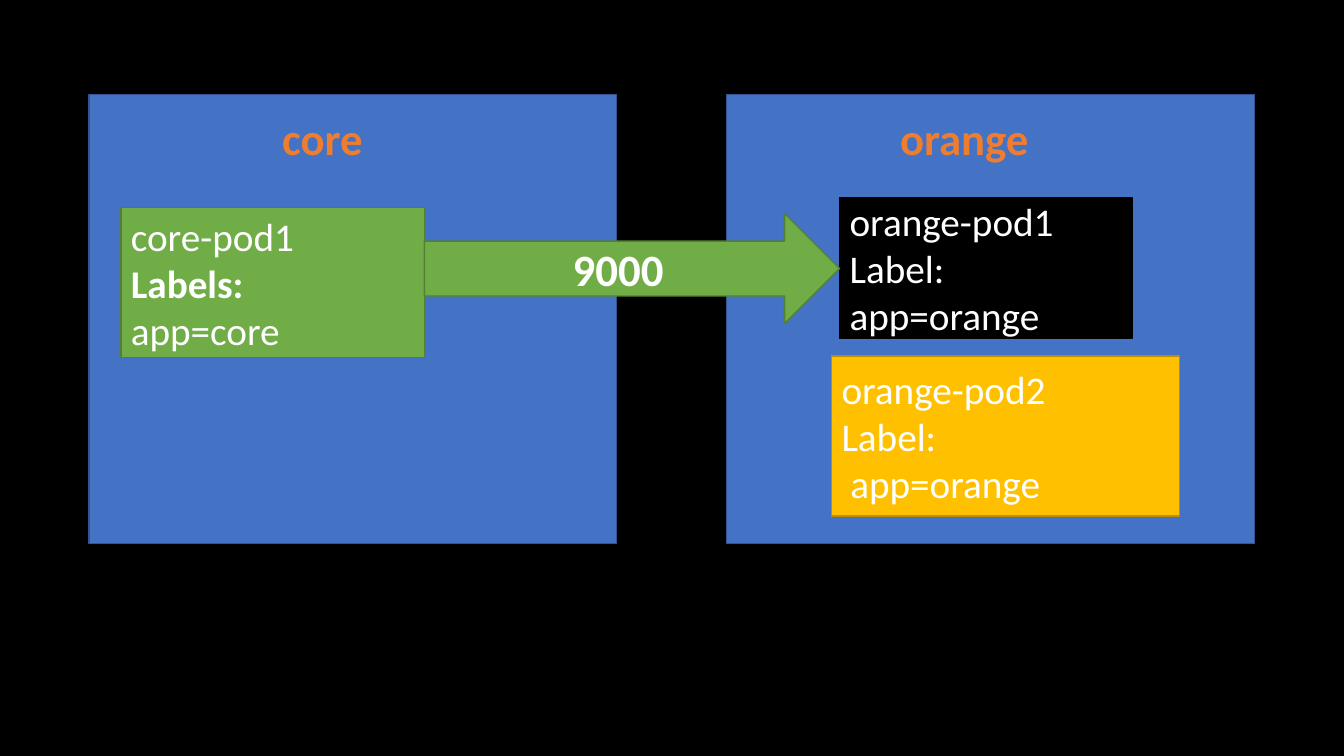
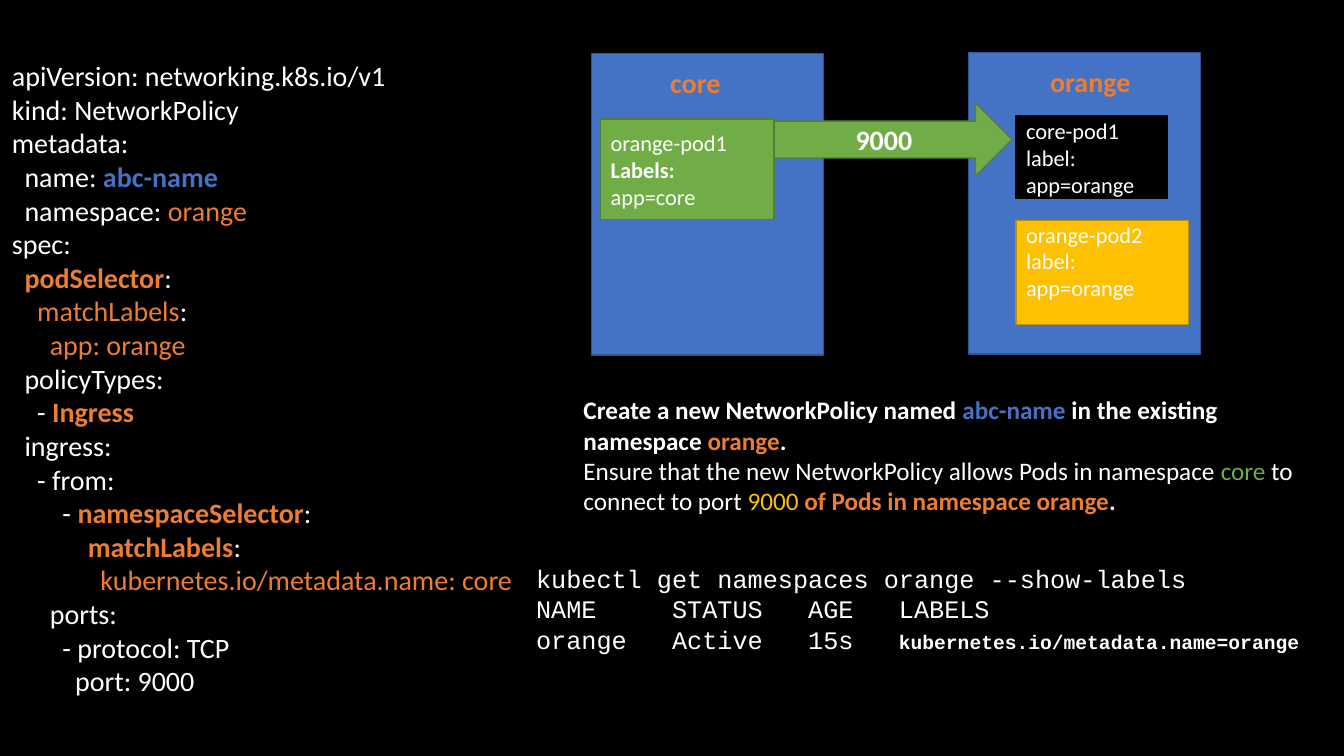
from pptx import Presentation
from pptx import util as u
from pptx.dml.color import RGBColor
from pptx.enum import shapes, text
from pptx.oxml.ns import qn
from lxml import etree

WHITE, BLACK = "FFFFFF", "000000"
BLUE, ORANGE, GREEN, GOLD = "4472C4", "ED7D31", "70AD47", "FFC000"
BORDERS = {BLUE: "325491", GREEN: "538035", GOLD: "BD8E00", BLACK: BLACK}
RECT = shapes.MSO_SHAPE.RECTANGLE
ARROW = shapes.MSO_SHAPE.RIGHT_ARROW
MIDDLE, TOP = text.MSO_ANCHOR.MIDDLE, text.MSO_ANCHOR.TOP


def rgb(color):
    return RGBColor.from_string(color)


def add_box(s, rect, lines=(), size=18, fill=None, kind=RECT, align=text.PP_ALIGN.LEFT,
            anchor=MIDDLE, font="Calibri"):
    """Add a filled shape or a text box; each line is a list of (text, colour, bold)."""
    at = [u.Pt(v) for v in rect]
    if fill:
        sp = s.shapes.add_shape(kind, *at)
        sp.shadow.inherit = False
        sp.fill.solid()
        sp.fill.fore_color.rgb = rgb(fill)
        sp.line.color.rgb = rgb(BORDERS[fill])
        sp.line.width = u.Pt(1)
    else:
        sp = s.shapes.add_textbox(*at)
    tf = sp.text_frame
    tf.word_wrap = True
    tf.vertical_anchor = anchor
    if anchor == TOP:
        tf.margin_top = 0
    for i, line in enumerate(lines):
        p = tf.add_paragraph() if i else tf.paragraphs[0]
        p.alignment = align
        for words, color, bold in line:
            r = p.add_run()
            r.text = words
            r.font.name = font
            r.font.size = u.Pt(size)
            r.font.bold = bold
            r.font.color.rgb = rgb(color)
    return sp


prs = Presentation()
prs.slide_width, prs.slide_height = u.Pt(960), u.Pt(540)
bg = prs.slide_master.background.fill
bg.solid()
bg.fore_color.rgb = rgb(BLACK)

# Diagram of each slide: namespaces, pods and the arrow between them
diagrams = [
    dict(head=32, body=28,
         namespaces=[("orange", (519, 67.5, 377, 321), (635.8, 75, 145, 46)),
                     ("core", (63.5, 67.5, 377, 321), (194.4, 75.6, 145, 46))],
         pods=[(GREEN, (86.4, 148.3, 216.7, 107.3), "core-pod1", "Labels:", "app=core"),
               (BLACK, (599.8, 141.1, 208.8, 100.8), "orange-pod1", "Label:", "app=orange"),
               (GOLD, (594, 254.2, 248.4, 114.5), "orange-pod2", "Label:", "app=orange")],
         arrow=(303.1, 152.6, 296.6, 78.5)),
    dict(head=20, body=16,
         namespaces=[("orange", (692, 37.5, 165.6, 215.3), (743, 42.5, 91.4, 31.7)),
                     ("core", (422.6, 38.2, 165.6, 215.3), (471.6, 43.2, 69, 31.7))],
         pods=[(GREEN, (429.1, 85, 123.8, 72), "orange-pod1", "Labels:", "app=core"),
               (BLACK, (725.8, 82.8, 108, 59), "core-pod1", "label:", "app=orange"),
               (GOLD, (725.8, 157.7, 123.1, 74.2), "orange-pod2", "label:", "app=orange")],
         arrow=(553, 73.4, 170, 52.6)),
]
last_pods = []
for d in diagrams:
    s = prs.slides.add_slide(prs.slide_layouts[6])
    for name, area, label in d["namespaces"]:
        add_box(s, area, fill=BLUE)
        add_box(s, label, [[(name, ORANGE, True)]], d["head"])
    for fill, area, *words in d["pods"]:
        lines = [[(w, WHITE, w == "Labels:")] for w in words]
        pod = add_box(s, area, lines, d["body"], fill)
    last_pods.append(pod)
    add_box(s, d["arrow"], [[("9000", WHITE, True)]], d["head"], GREEN, ARROW,
            text.PP_ALIGN.CENTER)

# Second orange pod: indented label on slide 1, text at the top on slide 2
p = last_pods[0].text_frame.paragraphs[2]
p._p.get_or_add_pPr().set("marL", str(u.Pt(6.3)))
tf = last_pods[1].text_frame
tf.vertical_anchor = TOP
tf.margin_top = 0

# Policy manifest: indent, then the runs of the line
manifest = [
    [("apiVersion: networking.k8s.io/v1", WHITE, False)],
    [("kind: NetworkPolicy", WHITE, False)],
    [("metadata:", WHITE, False)],
    [("  name: ", WHITE, False), ("abc-name", BLUE, True)],
    [("  namespace: ", WHITE, False), ("orange", ORANGE, False)],
    [("spec:", WHITE, False)],
    [("  podSelector", ORANGE, True), (":", WHITE, False)],
    [("    matchLabels", ORANGE, False), (":", WHITE, False)],
    [("      app: orange", ORANGE, False)],
    [("  policyTypes:", WHITE, False)],
    [("    - ", WHITE, False), ("Ingress", ORANGE, True)],
    [("  ingress:", WHITE, False)],
    [("    - from:", WHITE, False)],
    [("        - ", WHITE, False), ("namespaceSelector", ORANGE, True), (":", WHITE, False)],
    [("            matchLabels", ORANGE, True), (":", WHITE, False)],
    [("              kubernetes.io/metadata.name: core", ORANGE, False)],
    [("      ports:", WHITE, False)],
    [("        - protocol: TCP", WHITE, False)],
    [("          port: 9000", WHITE, False)],
]
add_box(s, (1.4, 0, 408, 540), manifest, 20)

# Task statement
task = [
    [("Create a new NetworkPolicy named ", WHITE, True), ("abc-name", BLUE, True),
     (" in the existing namespace ", WHITE, True), ("orange", ORANGE, True),
     (".", WHITE, True)],
    [("Ensure that the new NetworkPolicy allows Pods in namespace ", WHITE, False),
     ("core", GREEN, False), (" to connect to port ", WHITE, False),
     ("9000 ", GOLD, False), ("of Pods in namespace orange", ORANGE, True),
     (".", WHITE, True)],
]
add_box(s, (409.7, 282, 543, 90), task, 18, anchor=TOP)

# Command and its output, in columns of 10.8 pt characters
output = [
    [("kubectl get namespaces orange --show-labels", WHITE, False)],
    [("NAME\tSTATUS\tAGE\tLABELS", WHITE, False)],
    [("orange\tActive\t15s\t", WHITE, False), ("kubernetes.io/metadata.name=orange", WHITE, True)],
]
sp = add_box(s, (375.8, 384.5, 575.3, 100.8), output, 18, font="Courier New")
for p in sp.text_frame.paragraphs[1:]:
    tabs = etree.SubElement(p._p.get_or_add_pPr(), qn("a:tabLst"))
    for chars in (9, 18, 24):
        etree.SubElement(tabs, qn("a:tab"), pos=str(u.Pt(chars * 10.8)), algn="l")
p.runs[1].font.size = u.Pt(14)

prs.save("out.pptx")
